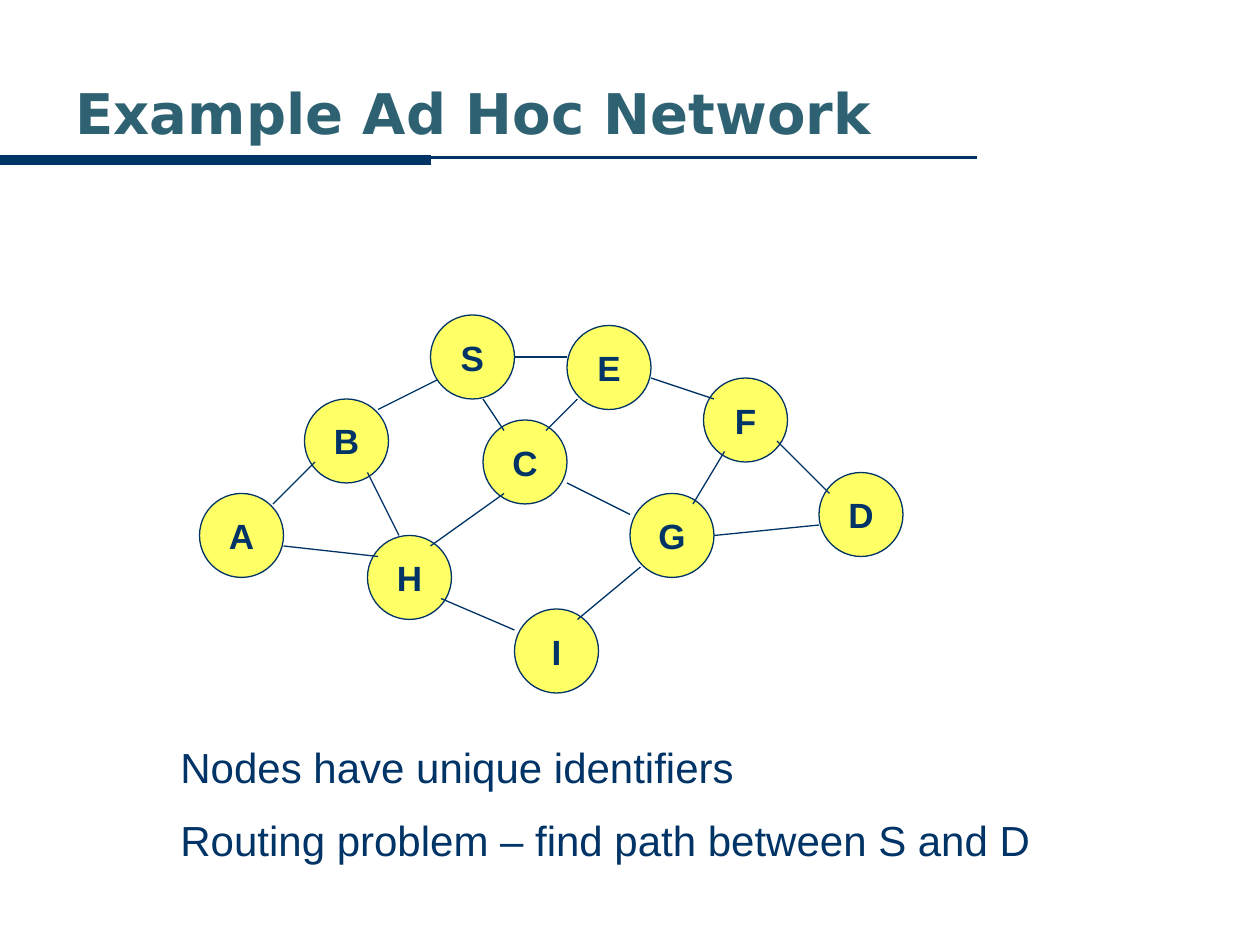
from lxml import etree
from pptx import Presentation
from pptx import util as u
from pptx.dml.color import RGBColor
from pptx.enum import shapes, text
from pptx.oxml.ns import qn

NAVY, TEAL, YELLOW = "003366", "2E6272", "FFFF66"
CELLS_PER_INCH = 12
NODE_SIZE = 8  # grid cells

# Node name: left column, top row of its circle
NODES = {"B": (29, 38), "A": (19, 47), "E": (54, 31), "F": (67, 36),
         "H": (35, 51), "C": (46, 40), "G": (60, 47), "I": (49, 58),
         "D": (78, 45)}
SOURCE_NODE = ("S", (41, 30))

# Links as (column, row) of both ends
LINKS = [
    ((26, 48), (30, 44)),  # A-B
    ((36, 39), (42, 36)),  # B-S
    ((27, 52), (36, 53)),  # A-H
    ((35, 45), (38, 51)),  # B-H
    ((48, 47), (41, 52)),  # C-H
    ((55, 38), (52, 41)),  # E-C
    ((62, 36), (68, 38)),  # E-F
    ((69, 43), (66, 48)),  # F-G
    ((61, 54), (55, 59)),  # G-I
    ((54, 46), (60, 49)),  # C-G
    ((42, 57), (49, 60)),  # H-I
    ((54, 34), (49, 34)),  # E-S
    ((46, 38), (48, 41)),  # S-C
    ((74, 42), (79, 47)),  # F-D
    ((78, 50), (68, 51)),  # D-G
]

NOTES = ["Nodes have unique identifiers",
         "Routing problem – find path between S and D"]


def color(value):
    return RGBColor.from_string(value)


def cell(count):
    return u.Inches(count / CELLS_PER_INCH)


def add_span(para, words, size, tint, font="Arial", bold=False):
    span = para.add_run()
    span.text = words
    span.font.name, span.font.size, span.font.bold = font, u.Pt(size), bold
    span.font.color.rgb = color(tint)


def add_line(page, start, end, width=0.75):
    line = page.shapes.add_connector(
        shapes.MSO_CONNECTOR.STRAIGHT, *start, *end)
    line.line.color.rgb = color(NAVY)
    line.line.width = u.Pt(width)
    etree.SubElement(line._element.spPr, qn("a:effectLst"))


def add_node(page, name, position):
    column, row = position
    node = page.shapes.add_shape(
        shapes.MSO_SHAPE.OVAL, cell(column), cell(row),
        cell(NODE_SIZE), cell(NODE_SIZE))
    node.shadow.inherit = False
    node.fill.solid()
    node.fill.fore_color.rgb = color(YELLOW)
    node.line.color.rgb = color(NAVY)
    node.line.width = u.Pt(0.75)
    frame = node.text_frame
    frame.word_wrap = False
    frame.vertical_anchor = text.MSO_ANCHOR.MIDDLE
    para = frame.paragraphs[0]
    para.alignment = text.PP_ALIGN.CENTER
    add_span(para, name, 20, NAVY, bold=True)


def add_title(page, words):
    title = page.shapes.title
    title.left, title.top = u.Inches(0.5), u.Inches(0.58)
    title.width, title.height = u.Inches(8.42), u.Inches(0.62)
    frame = title.text_frame
    frame.auto_size = text.MSO_AUTO_SIZE.NONE
    frame.vertical_anchor = text.MSO_ANCHOR.MIDDLE
    para = frame.paragraphs[0]
    para.alignment = text.PP_ALIGN.LEFT
    add_span(para, words, 32, TEAL, font="DejaVu Sans", bold=True)


def add_notes(page, lines):
    box = page.shapes.add_textbox(
        cell(16), cell(70), cell(91), u.Inches(1.1))
    frame = box.text_frame
    frame.word_wrap = True
    for index, words in enumerate(lines):
        para = frame.add_paragraph() if index else frame.paragraphs[0]
        para.space_before = u.Pt(13 if index else 0)
        add_span(para, words, 24, NAVY)


def main():
    deck = Presentation()
    deck.slide_width, deck.slide_height = u.Inches(10), u.Inches(7.5)
    page = deck.slides.add_slide(deck.slide_layouts[5])

    # Heading with its thin and thick rules
    for right, y, width in ((7.75, 1.25, 1.5), (3.42, 1.27, 6)):
        add_line(page, (0, u.Inches(y)), (u.Inches(right), u.Inches(y)), width)
    add_title(page, "Example Ad Hoc Network")

    # Network: links lie over the nodes, except at S
    for name, position in NODES.items():
        add_node(page, name, position)
    for start, end in LINKS:
        add_line(page, map(cell, start), map(cell, end))
    add_node(page, *SOURCE_NODE)

    # Remarks below the network
    add_notes(page, NOTES)
    deck.save("out.pptx")


if __name__ == "__main__":
    main()
